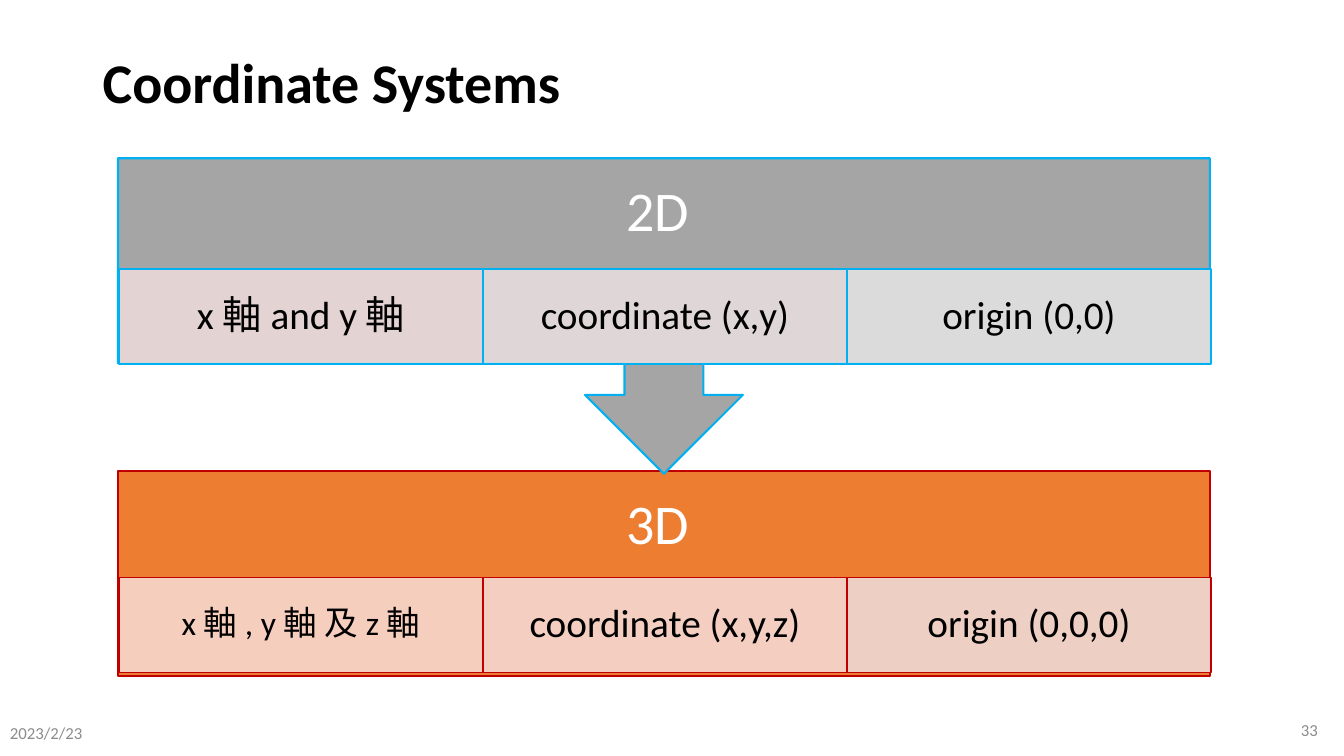
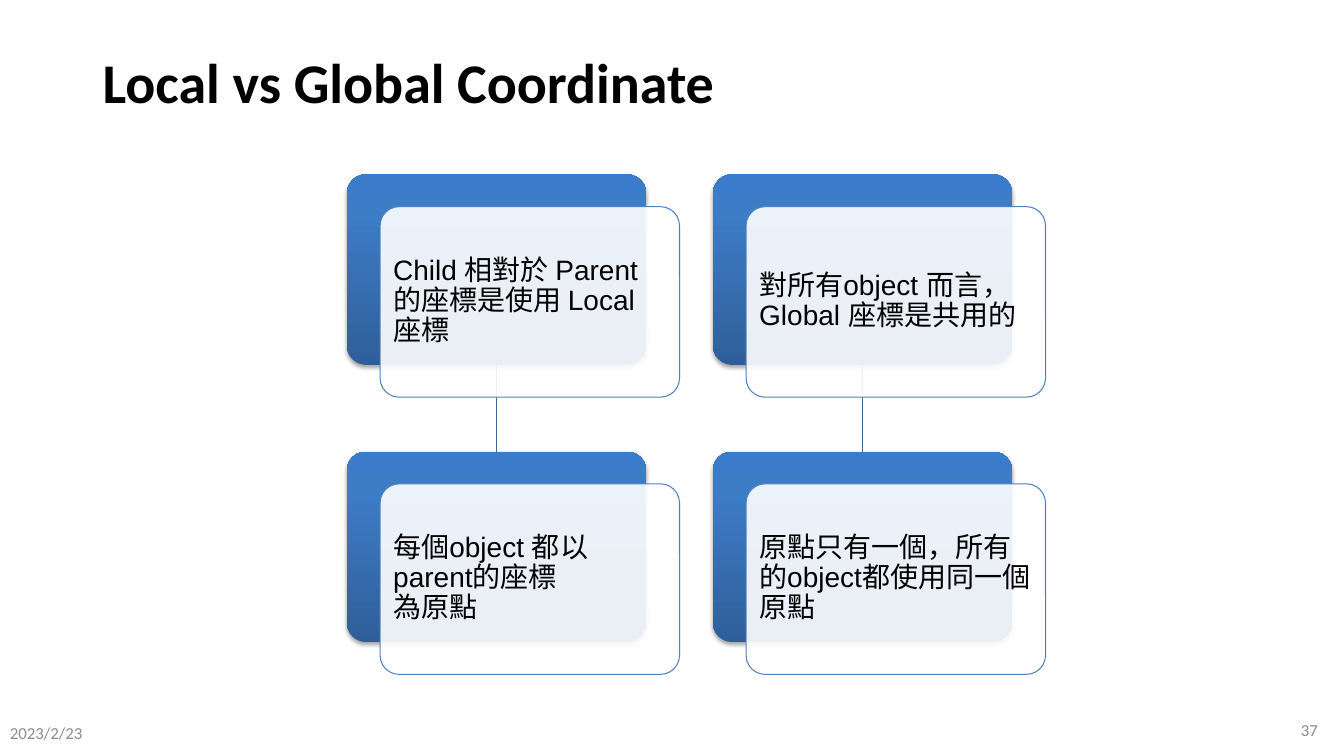
from lxml import etree
from pptx import Presentation
from pptx.dml.color import RGBColor
from pptx.enum.shapes import MSO_CONNECTOR, MSO_SHAPE
from pptx.enum.text import MSO_ANCHOR, PP_ALIGN
from pptx.oxml.ns import qn
from pptx.util import Pt

PX = 9144
LEFT, MID, RIGHT = PP_ALIGN.LEFT, PP_ALIGN.CENTER, PP_ALIGN.RIGHT
CENTER = MSO_ANCHOR.MIDDLE
RECT, ROUND = MSO_SHAPE.RECTANGLE, MSO_SHAPE.ROUNDED_RECTANGLE
ARROW = MSO_SHAPE.UP_ARROW_CALLOUT
LINE = MSO_CONNECTOR.STRAIGHT

BLACK = RGBColor(0x00, 0x00, 0x00)
WHITE = RGBColor(0xFF, 0xFF, 0xFF)
MUTED = RGBColor(0x8C, 0x8C, 0x8C)
GREY = RGBColor(0xA5, 0xA5, 0xA5)
CYAN = RGBColor(0x00, 0xB0, 0xF0)
ORANGE = RGBColor(0xED, 0x7D, 0x31)
RED = RGBColor(0xC0, 0x00, 0x00)
STEEL = RGBColor(0x3F, 0x67, 0x97)
BLUE = RGBColor(0x4F, 0x81, 0xBD)
DEEP = RGBColor(0x2F, 0x5F, 0x99)
MEDIUM = RGBColor(0x3D, 0x7C, 0xC7)
BRIGHT = RGBColor(0x3A, 0x7C, 0xCB)
ROSE = [RGBColor(0xEA, 0xDA, 0xD9), RGBColor(0xE6, 0xDD, 0xDD), RGBColor(0xE1, 0xE1, 0xE1)]
PEACH = [RGBColor(0xF8, 0xD7, 0xCE), RGBColor(0xF4, 0xD7, 0xD1), RGBColor(0xEF, 0xD8, 0xD5)]
BLEND = [(0, DEEP), (80, MEDIUM), (100, BRIGHT)]
SIDES = ("left", "top", "right", "bottom")


def node(root, tag, **attrs):
    return etree.SubElement(root, qn(tag), {k: str(v) for k, v in attrs.items()})


class Deck:
    def __init__(self):
        self.prs = Presentation()
        self.prs.slide_width = 1333 * PX
        self.prs.slide_height = 750 * PX
        self.slide = None

    def page(self, title, number):
        self.slide = self.prs.slides.add_slide(self.prs.slide_layouts[6])
        self.text(title, (92, 12, 1150, 145), 40, bold=True)
        self.text("2023/2/23", (0, 707, 300, 40), 12, MUTED, spacing=1.0)
        self.text(number, (1017, 704, 300, 40), 12, MUTED, align=RIGHT, spacing=1.0)

    def text(self, words, box, size, color=BLACK, align=LEFT, font="Calibri",
             bold=False, inset=(10, 5), spacing=0.9):
        frame = self.slide.shapes.add_textbox(*(n * PX for n in box)).text_frame
        form = {"word_wrap": True, "vertical_anchor": CENTER}
        form.update({f"margin_{side}": n * PX for side, n in zip(SIDES, inset * 2)})
        para = frame.paragraphs[0]
        para.text = words
        look = {"name": font, "size": Pt(size), "bold": bold}
        rule = {"alignment": align, "line_spacing": spacing}
        for part, values in ((frame, form), (para, rule), (para.runs[0].font, look)):
            for key, value in values.items():
                setattr(part, key, value)
        for run in para.runs:
            for key, value in look.items():
                setattr(run.font, key, value)
            run.font.color.rgb = color

    def shape(self, kind, box, fill=None, line=None, width=1, alpha=100, turn=0):
        item = self.slide.shapes.add_shape(kind, *(n * PX for n in box))
        item.shadow.inherit = False
        item.rotation = turn
        if kind == ROUND:
            item.adjustments[0] = 0.1
        if fill is not None:
            item.fill.solid()
            item.fill.fore_color.rgb = fill
        if line is None:
            item.line.fill.background()
        else:
            item.line.color.rgb = line
            item.line.width = Pt(width)
        if alpha < 100:
            tint = item.fill._xPr.find(qn("a:solidFill"))[0]
            node(tint, "a:alpha", val=alpha * 1000)
        return item

    def shade(self, box):
        item = self.shape(ROUND, box)
        item.fill.gradient()
        item.fill.gradient_angle = 90
        props = item.fill._xPr
        stops = props.find(qn("a:gradFill")).find(qn("a:gsLst"))
        for stop in list(stops):
            stops.remove(stop)
        for place, color in BLEND:
            node(node(stops, "a:gs", pos=place * 1000), "a:srgbClr", val=color)
        cast = node(props.find(qn("a:effectLst")), "a:outerShdw", blurRad=Pt(3.1),
                    dist=Pt(1.8), dir=5400000, rotWithShape=0)
        node(node(cast, "a:srgbClr", val=BLACK), "a:alpha", val=35000)

    def link(self, x, top, end):
        item = self.slide.shapes.add_connector(LINE, x * PX, top * PX, x * PX, end * PX)
        item.line.color.rgb = STEEL
        item.line.width = Pt(0.75)
        node(item._element.spPr, "a:effectLst")

    def band(self, kind, top, height, head, fill, line, cells, tints, turn=0):
        self.shape(kind, (117, top, 1083, height), fill, line, 1.5, turn=turn)
        self.text(head, (117, top, 1083, 110), 40, WHITE, MID, inset=(31, 31))
        for col, ((words, size), tint) in enumerate(zip(cells, tints)):
            box = (118 + 361 * col, top + 106 + 4 * (turn > 0), 361, 94)
            self.shape(RECT, box, tint, line, alpha=90)
            self.text(words, box, size, align=MID, inset=(20, 4))

    def card(self, x, y, words):
        self.shade((x, y, 297, 189))
        self.shape(ROUND, (x + 33, y + 32, 297, 189), WHITE, BLUE, 0.75, 90)
        self.text(words, (x + 38, y + 37, 286, 178), 20, font="Arial", inset=(8, 8))


def main():
    deck = Deck()
    deck.page("Coordinate Systems", "33")
    deck.band(RECT, 467, 204, "3D ", ORANGE, RED,
              [("x 軸 , y 軸 及 z 軸", 24), ("coordinate (x,y,z)", 28), ("origin (0,0,0)", 28)],
              PEACH)
    deck.band(ARROW, 157, 313, "2D ", GREY, CYAN,
              [("x 軸 and y 軸", 28), ("coordinate (x,y)", 28), ("origin (0,0)", 28)],
              ROSE, 180)

    deck.page("Local vs Global Coordinate", "37")
    cards = [
        ["Child 相對於 Parent 的座標是使用 Local 座標", "每個object 都以parent的座標\n為原點"],
        ["對所有object 而言，Global 座標是共用的", "原點只有一個，所有的object都使用同一個原點"],
    ]
    for col, pair in enumerate(cards):
        x = 344 + 363 * col
        deck.link(x + 148, 362, 448)
        for row, words in enumerate(pair):
            deck.card(x, 173 + 275 * row, words)
    deck.prs.save("out.pptx")


if __name__ == "__main__":
    main()
